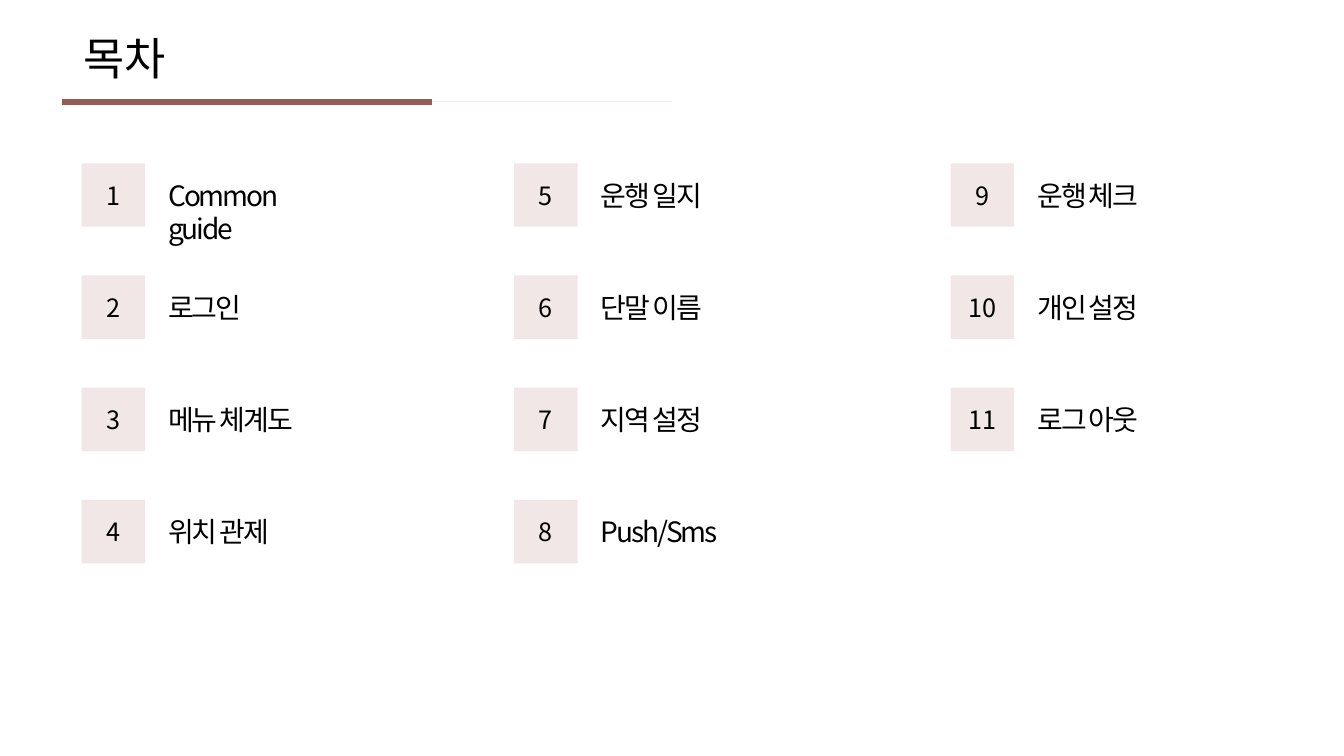
import pptx
import pptx.util
import pptx.dml.color
import pptx.enum.shapes
import pptx.enum.text
from lxml import etree
from pptx.util import Inches, Pt

FONT = "Noto Sans CJK KR"
INK, TILE, ACCENT = "000000", "F1E7E6", "975B55"
HEADING = "목차"
COLUMNS = [
    (0.81, ["Common guide", "로그인", "메뉴 체계도", "위치 관제"]),
    (5.1, ["운행 일지", "단말 이름", "지역 설정", "Push/Sms"]),
    (9.43, ["운행 체크", "개인 설정", "로그 아웃"]),
]
RULES = [(6.67, TILE, 0.5), (4.28, ACCENT, 4.5)]
RULE_LEFT, RULE_TOP = 0.62, 1.01
FIRST_ROW, ROW_STEP, TILE_SIZE = 1.62, 1.113, 0.63
ENTRY_OFFSET, ENTRY_WIDTH, ENTRY_HEIGHT = 0.76, 1.45, 0.44


def color(value):
    return pptx.dml.color.RGBColor.from_string(value)


def write(frame, words, size, align, spacing=None):
    line = frame.paragraphs[0]
    line.alignment = align
    run = line.add_run()
    run.text = words
    run.font.size = Pt(size)
    run.font.name = FONT
    run.font.color.rgb = color(INK)
    properties = run.font._element
    if spacing is not None:
        properties.set("spc", str(int(spacing * 100)))
    east_asian = etree.SubElement(properties, pptx.oxml.ns.qn("a:ea"))
    east_asian.set("typeface", FONT)


def add_rule(slide, right, shade, weight):
    rule = slide.shapes.add_connector(
        pptx.enum.shapes.MSO_CONNECTOR.STRAIGHT,
        Inches(RULE_LEFT), Inches(RULE_TOP), Inches(right), Inches(RULE_TOP))
    rule.line.color.rgb = color(shade)
    rule.line.width = Pt(weight)
    etree.SubElement(rule._element.spPr, pptx.oxml.ns.qn("a:effectLst"))


def add_entry(slide, left, top, number, words):
    tile = slide.shapes.add_shape(
        pptx.enum.shapes.MSO_SHAPE.RECTANGLE,
        Inches(left), Inches(top), Inches(TILE_SIZE), Inches(TILE_SIZE))
    tile.shadow.inherit = False
    tile.fill.solid()
    tile.fill.fore_color.rgb = color(TILE)
    tile.line.fill.background()
    tile.text_frame.margin_left = tile.text_frame.margin_right = 0
    tile.text_frame.vertical_anchor = pptx.enum.text.MSO_ANCHOR.MIDDLE
    write(tile.text_frame, str(number), 18, pptx.enum.text.PP_ALIGN.CENTER)

    entry = slide.shapes.add_textbox(
        Inches(left + ENTRY_OFFSET), Inches(top + 0.1),
        Inches(ENTRY_WIDTH), Inches(ENTRY_HEIGHT))
    entry.text_frame.word_wrap = True
    write(entry.text_frame, words, 20, pptx.enum.text.PP_ALIGN.LEFT, -1.5)


def main():
    deck = pptx.Presentation()
    deck.slide_width, deck.slide_height = Inches(13.33), Inches(7.5)
    slide = deck.slides.add_slide(deck.slide_layouts[5])

    heading = slide.shapes.title
    heading.left, heading.top = Inches(0.73), Inches(0.25)
    heading.width, heading.height = Inches(1.02), Inches(0.64)
    heading.text_frame.word_wrap = False
    heading.text_frame.auto_size = pptx.enum.text.MSO_AUTO_SIZE.NONE
    heading.text_frame.vertical_anchor = pptx.enum.text.MSO_ANCHOR.MIDDLE
    write(heading.text_frame, HEADING, 32, pptx.enum.text.PP_ALIGN.LEFT)

    for right, shade, weight in RULES:
        add_rule(slide, right, shade, weight)

    number = 0
    for left, entries in COLUMNS:
        for row, words in enumerate(entries):
            number += 1
            add_entry(slide, left, FIRST_ROW + row * ROW_STEP, number, words)

    deck.save("out.pptx")


if __name__ == "__main__":
    main()
